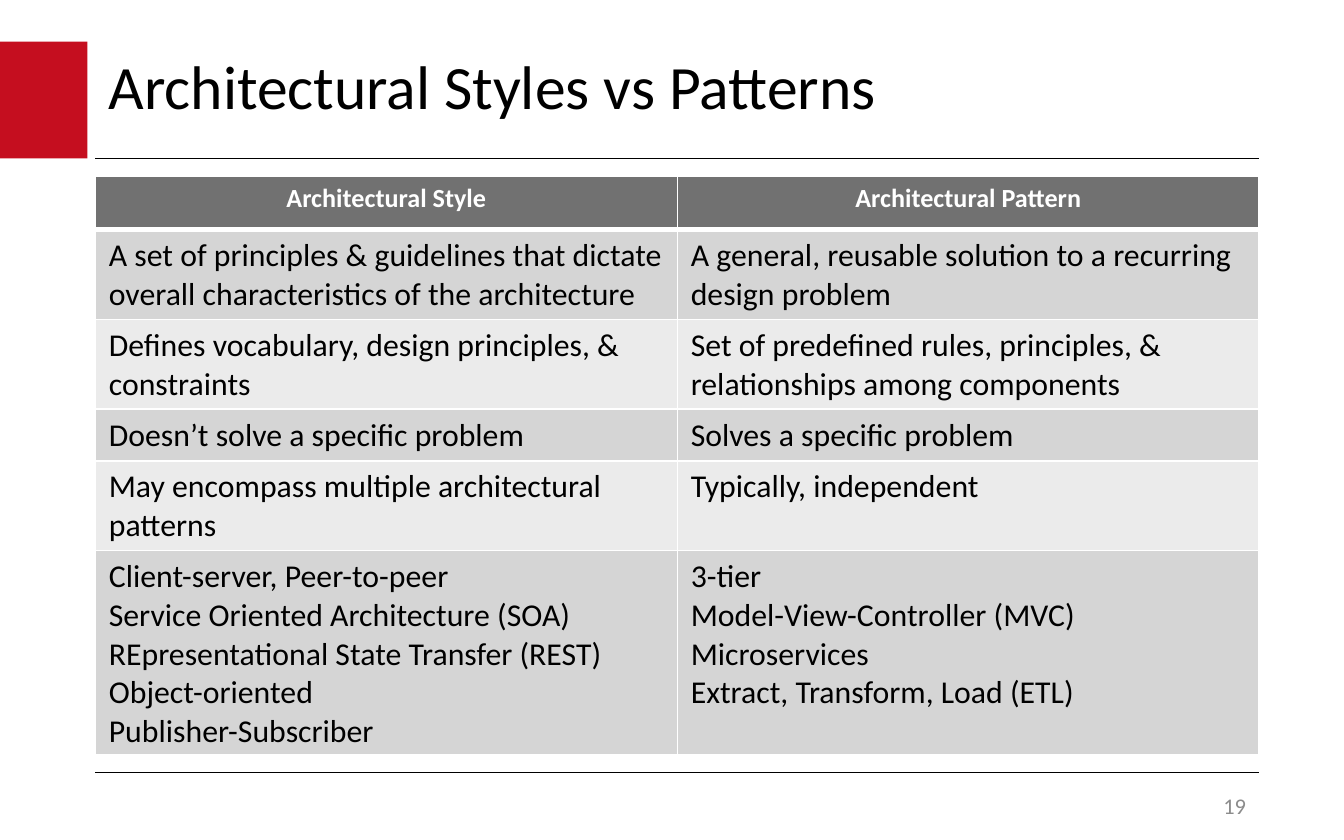
from lxml import etree
from pptx import Presentation
from pptx.dml.color import RGBColor
from pptx.enum.shapes import MSO_CONNECTOR, MSO_SHAPE
from pptx.enum.text import MSO_ANCHOR, PP_ALIGN
from pptx.oxml.ns import qn
from pptx.util import Inches, Pt

STRAIGHT = MSO_CONNECTOR.STRAIGHT
RECTANGLE = MSO_SHAPE.RECTANGLE
MIDDLE = MSO_ANCHOR.MIDDLE
LEFT, CENTER, RIGHT = PP_ALIGN.LEFT, PP_ALIGN.CENTER, PP_ALIGN.RIGHT

FONT = "Calibri"
RED = RGBColor(0xC5, 0x0E, 0x1F)
BLACK = RGBColor(0, 0, 0)
WHITE = RGBColor(0xFF, 0xFF, 0xFF)
PAGE_GRAY = RGBColor(0x8C, 0x8C, 0x8C)
HEADER_GRAY = RGBColor(0x71, 0x71, 0x71)
BANDS = (RGBColor(0xD5, 0xD5, 0xD5), RGBColor(0xEB, 0xEB, 0xEB))

SLIDE_WIDTH, SLIDE_HEIGHT = 10, 6.25
MARGIN, CONTENT_WIDTH = 0.71, 8.66
BANNER_TOP, BANNER_HEIGHT = 0.31, 0.87
RULE_TOPS = (BANNER_TOP + BANNER_HEIGHT, 5.75)
TABLE_TOP = 1.31
ROW_HEIGHTS = (0.4, 0.63, 0.63, 0.37, 0.4, 1.43)

COMPARISON = (
    ("Architectural Style", "Architectural Pattern"),
    ("A set of principles & guidelines that dictate overall characteristics of the architecture",
     "A general, reusable solution to a recurring design problem"),
    ("Defines vocabulary, design principles, & constraints",
     "Set of predefined rules, principles, & relationships among components"),
    ("Doesn’t solve a specific problem", "Solves a specific problem"),
    ("May encompass multiple architectural patterns", "Typically, independent"),
    ("Client-server, Peer-to-peer\nService Oriented Architecture (SOA)\n"
     "REpresentational State Transfer (REST)\nObject-oriented\nPublisher-Subscriber",
     "3-tier\nModel-View-Controller (MVC)\nMicroservices\nExtract, Transform, Load (ETL)"),
)


def write_text(frame, wording, size, color, align=LEFT, bold=False):
    """Fill a text frame and format every run alike."""
    frame.text = wording
    frame.word_wrap = True
    for paragraph in frame.paragraphs:
        paragraph.alignment = align
        for run in paragraph.runs:
            run.font.name = FONT
            run.font.size = Pt(size)
            run.font.bold = bold
            run.font.color.rgb = color


def add_label(slide, box, wording, size, color, align=LEFT):
    """Add a vertically centred text box and return its frame."""
    frame = slide.shapes.add_textbox(*map(Inches, box)).text_frame
    write_text(frame, wording, size, color, align)
    frame.vertical_anchor = MIDDLE
    return frame


def add_banner(slide):
    """Add the red block at the slide's left edge."""
    banner = slide.shapes.add_shape(
        RECTANGLE, 0, Inches(BANNER_TOP), Inches(0.65), Inches(BANNER_HEIGHT))
    banner.shadow.inherit = False
    banner.fill.solid()
    banner.fill.fore_color.rgb = RED
    banner.line.fill.background()


def add_rule(slide, top):
    """Add a thin rule across the content width."""
    rule = slide.shapes.add_connector(
        STRAIGHT, Inches(MARGIN), Inches(top), Inches(MARGIN + CONTENT_WIDTH), Inches(top))
    rule.line.color.rgb = BLACK
    rule.line.width = Pt(0.75)
    etree.SubElement(rule.element.spPr, qn("a:effectLst"))


def add_cell_borders(cell, widths):
    """Draw white borders, with widths given as left, right, top, bottom."""
    properties = cell._tc.get_or_add_tcPr()
    for side, width in zip("LRTB", widths):
        border = etree.SubElement(properties, qn(f"a:ln{side}"), w=str(Pt(width)))
        fill = etree.SubElement(border, qn("a:solidFill"))
        etree.SubElement(fill, qn("a:srgbClr"), val=str(WHITE))


def add_comparison(slide):
    """Add the two-column table with a header and banded rows."""
    table = slide.shapes.add_table(
        len(COMPARISON), 2, Inches(MARGIN), Inches(TABLE_TOP),
        Inches(CONTENT_WIDTH), Inches(sum(ROW_HEIGHTS))).table
    for row_index, (height, wordings) in enumerate(zip(ROW_HEIGHTS, COMPARISON)):
        table.rows[row_index].height = Inches(height)
        is_header = row_index == 0
        for column_index, wording in enumerate(wordings):
            cell = table.cell(row_index, column_index)
            add_cell_borders(
                cell, (1, 1, 3 if row_index == 1 else 1, 3 if is_header else 1))
            cell.fill.solid()
            if is_header:
                cell.fill.fore_color.rgb = HEADER_GRAY
                write_text(cell.text_frame, wording, 14, WHITE, CENTER, True)
            else:
                cell.fill.fore_color.rgb = BANDS[(row_index - 1) % 2]
                write_text(cell.text_frame, wording, 17, BLACK)


def main():
    """Build and save the slide."""
    deck = Presentation()
    deck.slide_width, deck.slide_height = Inches(SLIDE_WIDTH), Inches(SLIDE_HEIGHT)
    slide = deck.slides.add_slide(deck.slide_layouts[6])
    add_banner(slide)
    for top in RULE_TOPS:
        add_rule(slide, top)
    title = add_label(slide, (MARGIN, BANNER_TOP, CONTENT_WIDTH, 0.71),
                      "Architectural Styles vs Patterns", 33, BLACK)
    title.paragraphs[0].line_spacing = 0.9
    add_label(slide, (7.34, 5.87, 2.03, 0.25), "19", 12, PAGE_GRAY, RIGHT)
    add_comparison(slide)
    deck.save("out.pptx")


if __name__ == "__main__":
    main()
